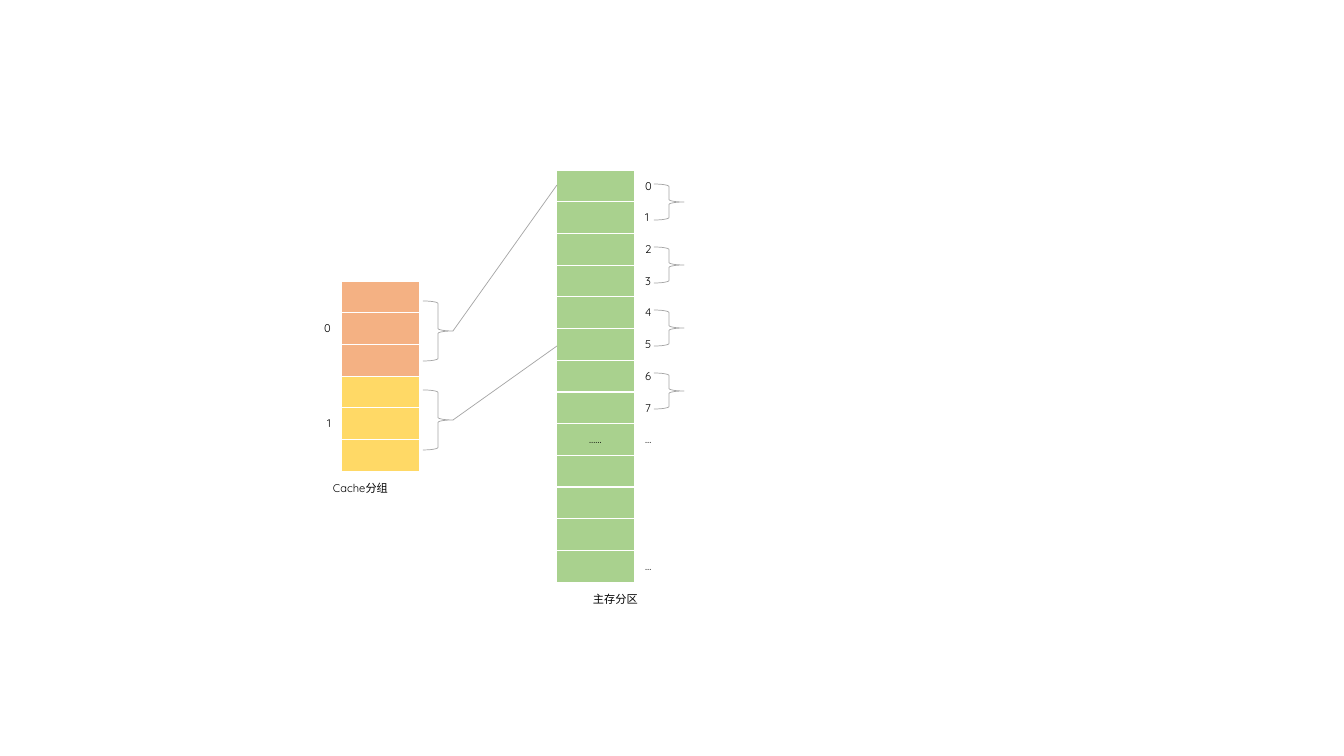
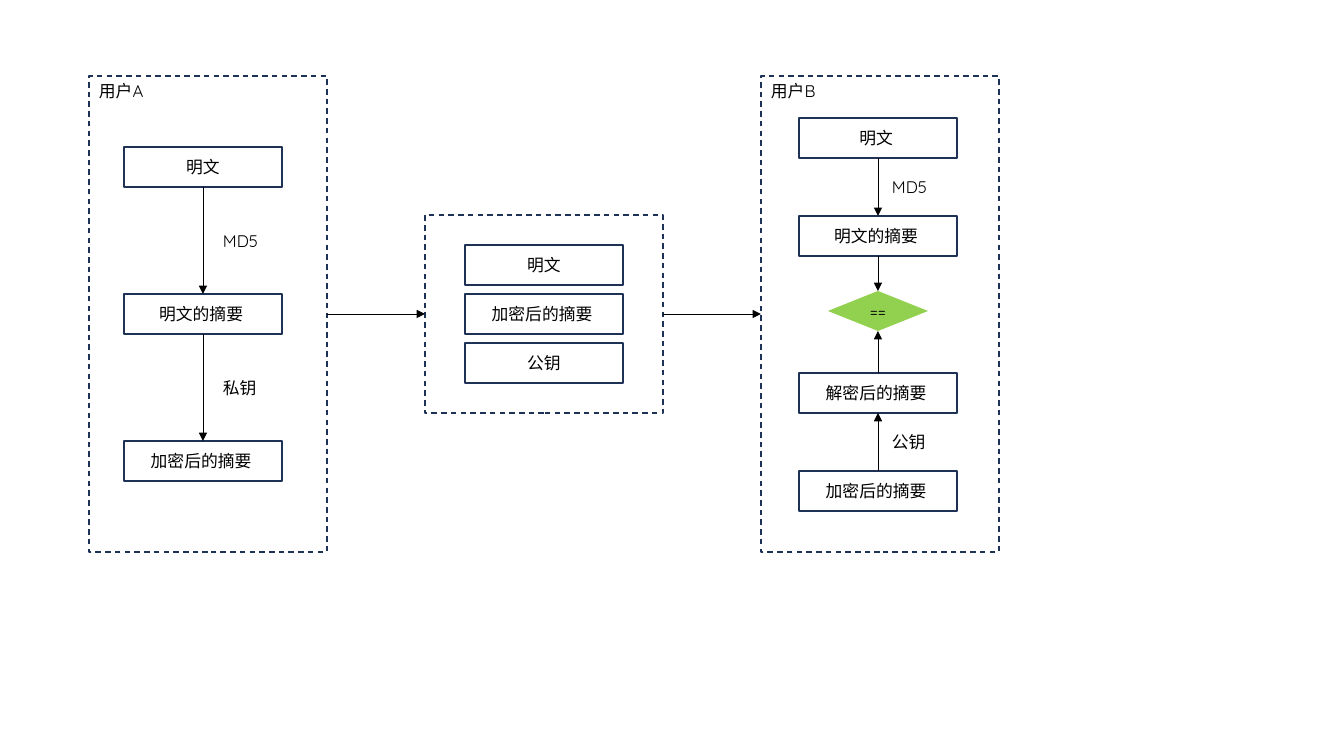
from itertools import pairwise
from lxml import etree
from pptx import Presentation
from pptx.dml.color import RGBColor
from pptx.enum.dml import MSO_LINE
from pptx.enum.shapes import MSO_CONNECTOR, MSO_SHAPE
from pptx.enum.text import MSO_ANCHOR, PP_ALIGN
from pptx.oxml.ns import qn
from pptx.util import Emu, Pt

STRAIGHT = MSO_CONNECTOR.STRAIGHT
RECTANGLE, DIAMOND, BRACE = MSO_SHAPE.RECTANGLE, MSO_SHAPE.DIAMOND, MSO_SHAPE.RIGHT_BRACE
LEFT, CENTER, RIGHT = PP_ALIGN.LEFT, PP_ALIGN.CENTER, PP_ALIGN.RIGHT
TOP, MIDDLE = MSO_ANCHOR.TOP, MSO_ANCHOR.MIDDLE
DASH = MSO_LINE.DASH

PAGE_WIDTH, PAGE_HEIGHT = 1344, 756
EMU_PER_PX = 12192000 / PAGE_WIDTH
BLACK, WHITE, GRAY, NAVY = "000000", "FFFFFF", "A5A5A5", "1E3256"
ORANGE, YELLOW, GREEN, LIME = "F4B183", "FFD966", "A9D18E", "92D050"
BODY_FORMAT = {"name": "Quicksand", "size": Pt(12)}
TABLE_FORMAT = {"name": "Quicksand", "size": Pt(8)}
BORDERS = ("a:lnL", "a:lnR", "a:lnT", "a:lnB")
BOX_WIDTH, BOX_HEIGHT = 158, 40


def px(*lengths):
    return [Emu(round(length * EMU_PER_PX)) for length in lengths]


def color(value):
    return RGBColor.from_string(value)


def set_fill(target, value):
    if value:
        target.fill.solid()
        target.fill.fore_color.rgb = color(value)
    else:
        target.fill.background()


def set_line(line, value, width, dash=None):
    line.color.rgb = color(value)
    line.width = Pt(width)
    if dash:
        line.dash_style = dash


def write(frame, text, align, text_format):
    para = frame.paragraphs[0]
    para.alignment = align
    span = para.add_run()
    span.text = text
    for name, value in text_format.items():
        setattr(span.font, name, value)
    span.font.color.rgb = color(BLACK)


def add_figure(page, kind, bounds, fill=None, line=None, text="", align=CENTER, anchor=MIDDLE):
    figure = page.shapes.add_shape(kind, *px(*bounds))
    figure.shadow.inherit = False
    set_fill(figure, fill)
    if line:
        set_line(figure.line, *line)
    else:
        figure.line.fill.background()
    if text:
        figure.text_frame.vertical_anchor = anchor
        write(figure.text_frame, text, align, BODY_FORMAT)
    return figure


def add_box(page, left, top, text):
    bounds = (left, top, BOX_WIDTH, BOX_HEIGHT)
    return add_figure(page, RECTANGLE, bounds, line=(NAVY, 1), text=text)


def add_panel(page, left, top, height, title=""):
    bounds = (left, top, 238, height)
    return add_figure(page, RECTANGLE, bounds, None, (NAVY, 1, DASH), title, LEFT, TOP)


def add_brace(page, left, top, height):
    add_figure(page, BRACE, (left, top, 30, height), line=(GRAY, 0.5))


def add_label(page, left, top, text):
    label = page.shapes.add_textbox(*px(left, top, 80, BOX_HEIGHT))
    label.text_frame.word_wrap = True
    label.text_frame.vertical_anchor = MIDDLE
    write(label.text_frame, text, LEFT, BODY_FORMAT)


def add_line(page, value, ends=(0, 0, 0, 0)):
    line = page.shapes.add_connector(STRAIGHT, *px(*ends))
    set_line(line.line, value, 0.5)
    etree.SubElement(line.element.spPr, qn("a:effectLst"))
    return line


def add_arrow(page, start, start_side, end, end_side):
    arrow = add_line(page, BLACK)
    arrow.begin_connect(start, start_side)
    arrow.end_connect(end, end_side)
    etree.SubElement(arrow.line._get_or_add_ln(), qn("a:tailEnd"), type="triangle")


def set_borders(cell):
    properties = cell._tc.get_or_add_tcPr()
    for index, tag in enumerate(BORDERS):
        border = etree.Element(qn(tag), w=str(Pt(1)))
        solid = etree.SubElement(border, qn("a:solidFill"))
        etree.SubElement(solid, qn("a:srgbClr"), val=WHITE)
        properties.insert(index, border)


def add_memory(page, left, top, widths, bar_column, fills, texts, merges):
    rows = len(fills) + 1
    bounds = px(left, top, sum(widths), rows * 222 / 7)
    table = page.shapes.add_table(rows, len(widths), *bounds).table
    table.first_row = table.horz_banding = False
    for column, width in zip(table.columns, px(*widths)):
        column.width = width
    for row in range(rows):
        for column in range(len(widths)):
            cell = table.cell(row, column)
            in_bar = column == bar_column and row < len(fills)
            set_fill(cell, fills[row] if in_bar else None)
            set_borders(cell)
            cell.vertical_anchor = MIDDLE
            if (row, column) in texts:
                write(cell.text_frame, *texts[row, column], TABLE_FORMAT)
            else:
                para = cell.text_frame.paragraphs[0]
                etree.SubElement(para._p, qn("a:endParaRPr"), sz="800")
    for first, last in merges:
        table.cell(*first).merge(table.cell(*last))


def draw_cache_mapping(page):
    cache_texts = {(0, 0): ("0", RIGHT), (3, 0): ("1", RIGHT), (6, 0): ("Cache分组", CENTER)}
    cache_merges = [((0, 0), (2, 0)), ((3, 0), (5, 0)), ((6, 0), (6, 1))]
    add_memory(page, 301, 281, (40, 79), 1, [ORANGE] * 3 + [YELLOW] * 3, cache_texts, cache_merges)

    memory_texts = {(row, 1): (str(row), LEFT) for row in range(8)}
    memory_texts |= {(row, 1): ("…", LEFT) for row in (8, 12)}
    memory_texts |= {(8, 0): ("……", CENTER), (13, 0): ("主存分区", CENTER)}
    add_memory(page, 556, 170, (79, 40), 0, [GREEN] * 13, memory_texts, [((13, 0), (13, 1))])

    for top, target in ((301, 185), (390, 346)):
        add_brace(page, 423, top, 60)
        add_line(page, GRAY, (557, target, 453, top + 30))
    for pair in range(4):
        add_brace(page, 654, 184 + 63 * pair, 36)


def draw_signature_flow(page):
    sender = add_panel(page, 89, 76, 476, "用户A")
    message = add_panel(page, 425, 215, 198)
    receiver = add_panel(page, 761, 76, 476, "用户B")
    for start, end in pairwise((sender, message, receiver)):
        add_arrow(page, start, 3, end, 1)

    sender_texts = ("明文", "明文的摘要 ", "加密后的摘要 ")
    steps = [add_box(page, 124, 147 + 147 * row, text) for row, text in enumerate(sender_texts)]
    for row, text in enumerate(("MD5", "私钥")):
        add_arrow(page, steps[row], 2, steps[row + 1], 0)
        add_label(page, 213, 221 + 147 * row, text)

    for row, text in enumerate(("明文", "加密后的摘要 ", "公钥")):
        add_box(page, 465, 245 + 49 * row, text)

    plain = add_box(page, 799, 118, "明文 ")
    digest = add_box(page, 799, 216, "明文的摘要 ")
    check = add_figure(page, DIAMOND, (828, 291, 100, BOX_HEIGHT), LIME, text="==")
    decrypted = add_box(page, 799, 373, "解密后的摘要 ")
    encrypted = add_box(page, 799, 471, "加密后的摘要 ")
    for start, end in pairwise((plain, digest, check)):
        add_arrow(page, start, 2, end, 0)
    for start, end in pairwise((encrypted, decrypted, check)):
        add_arrow(page, start, 0, end, 2)
    add_label(page, 882, 167, "MD5")
    add_label(page, 882, 422, "公钥")


def main():
    deck = Presentation()
    deck.slide_width, deck.slide_height = px(PAGE_WIDTH, PAGE_HEIGHT)
    for draw in (draw_cache_mapping, draw_signature_flow):
        draw(deck.slides.add_slide(deck.slide_layouts[6]))
    deck.save("out.pptx")


if __name__ == "__main__":
    main()
